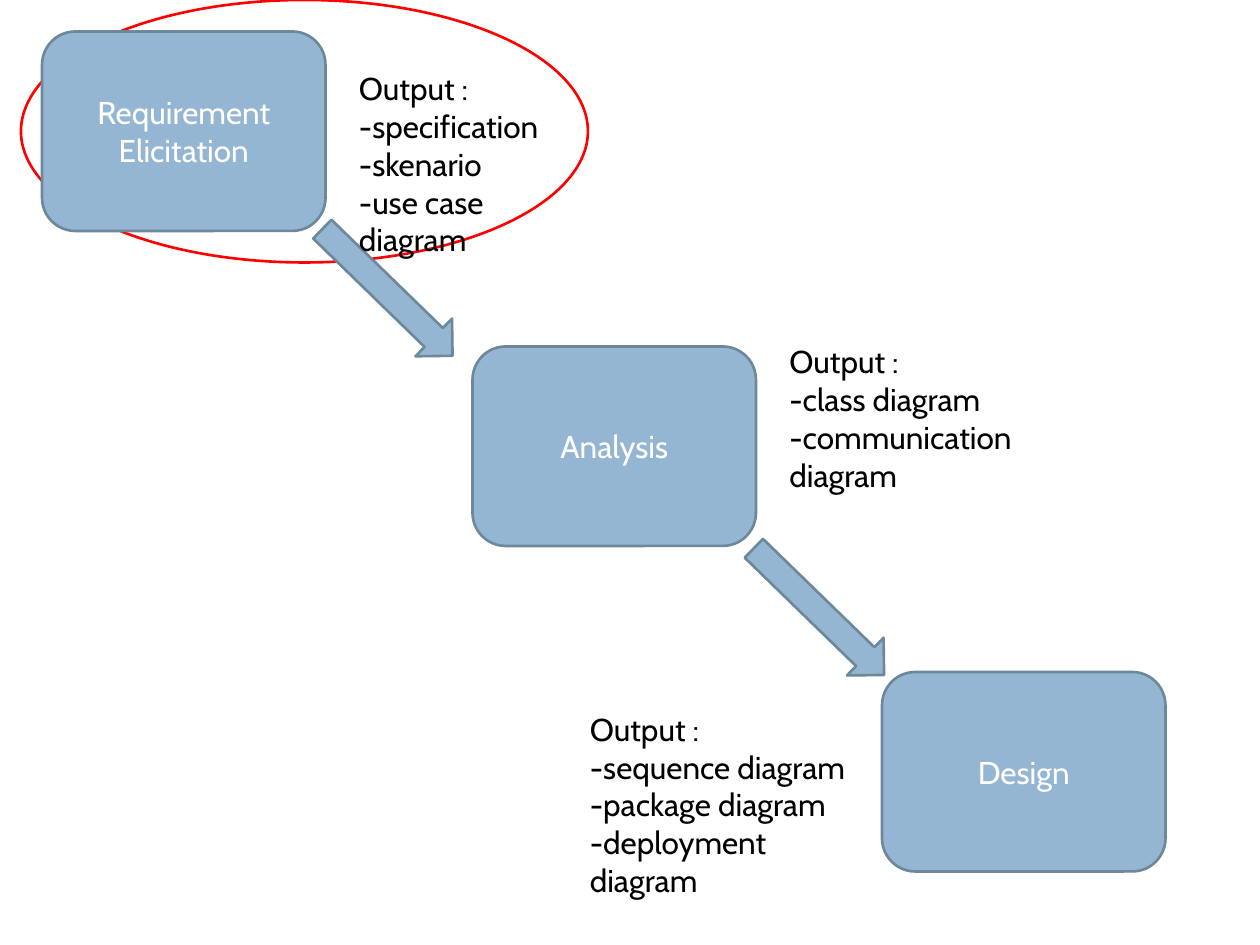
from pptx import Presentation
from pptx.dml.color import RGBColor
from pptx.enum.shapes import MSO_SHAPE
from pptx.enum.text import MSO_ANCHOR, MSO_AUTO_SIZE, PP_ALIGN
from pptx.util import Inches, Pt

OVAL, ROUND, DOWN = MSO_SHAPE.OVAL, MSO_SHAPE.ROUNDED_RECTANGLE, MSO_SHAPE.DOWN_ARROW
MIDDLE, TOP = MSO_ANCHOR.MIDDLE, MSO_ANCHOR.TOP
CENTER, LEFT = PP_ALIGN.CENTER, PP_ALIGN.LEFT
GROW = MSO_AUTO_SIZE.SHAPE_TO_FIT_TEXT

WHITE = RGBColor(0xFF, 0xFF, 0xFF)
BLACK = RGBColor(0, 0, 0)
RED = RGBColor(0xFF, 0, 0)
BLUE = RGBColor(0x94, 0xB6, 0xD2)
SLATE = RGBColor(0x6D, 0x87, 0x9B)

CELL = Inches(1) / 12  # the slide is 120 columns by 90 rows
BOX = (27, 19)
ARROW = (5, 17.3)
TURN = 314.2

STAGES = [
    ("Requirement Elicitation", (4, 3)),
    ("Analysis", (45, 33)),
    ("Design", (84, 64)),
]
ARROWS = [(34.4, 19.2), (75.5, 49.6)]
NOTES = [
    ((33, 6, 24.6, 15.7), ["specification", "skenario", "use case diagram"]),
    ((74, 32, 31.8, 12.1), ["class diagram", "communication diagram"]),
    ((55, 67, 28.8, 15.7),
     ["sequence diagram", "package diagram", "deployment diagram"]),
]


def write(frame, lines, color=BLACK, align=LEFT, anchor=TOP, font="Cabin", size=18):
    frame.word_wrap = True
    frame.vertical_anchor = anchor
    for i, line in enumerate(lines):
        para = frame.add_paragraph() if i else frame.paragraphs[0]
        para.text = line
        para.alignment = align
        para.font.name = font
        para.font.size = Pt(size)
        para.font.color.rgb = color


class Flow:
    """Draws on one slide, with lengths in grid columns and rows."""

    def __init__(self, slide):
        self.shapes = slide.shapes

    def grid(self, *cells):
        return [round(n * CELL) for n in cells]

    def shape(self, kind, at, size, fill=BLUE, line=SLATE):
        item = self.shapes.add_shape(kind, *self.grid(*at, *size))
        item.shadow.inherit = False
        item.fill.solid()
        item.fill.fore_color.rgb = fill
        item.line.color.rgb = line
        item.line.width = Pt(1.5)
        return item

    def ring(self, at, size):
        self.shape(OVAL, at, size, fill=WHITE, line=RED)

    def stage(self, name, at):
        box = self.shape(ROUND, at, BOX)
        write(box.text_frame, [name], color=WHITE, align=CENTER, anchor=MIDDLE)

    def arrow(self, at):
        self.shape(DOWN, at, ARROW).rotation = TURN

    def note(self, area, items):
        frame = self.shapes.add_textbox(*self.grid(*area)).text_frame
        write(frame, ["Output :"] + ["-" + item for item in items])
        frame.auto_size = GROW


def main():
    deck = Presentation()
    deck.slide_width, deck.slide_height = Inches(10), Inches(7.5)
    flow = Flow(deck.slides.add_slide(deck.slide_layouts[6]))
    flow.ring((2, 0), (54, 25))
    for name, at in STAGES:
        flow.stage(name, at)
    for at in ARROWS:
        flow.arrow(at)
    for area, items in NOTES:
        flow.note(area, items)
    deck.save("out.pptx")


if __name__ == "__main__":
    main()
